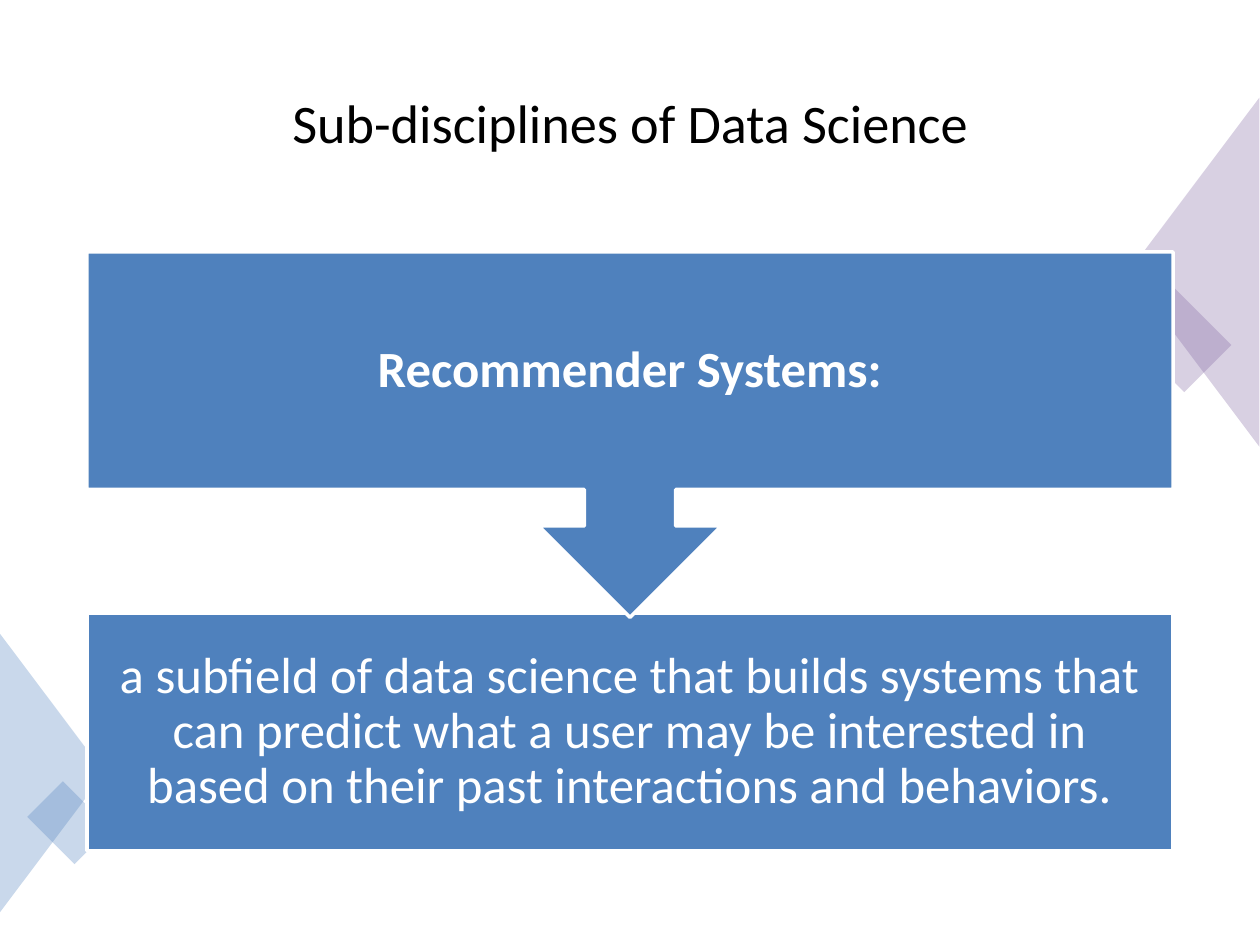
from lxml import etree
from pptx import Presentation
from pptx.dml.color import RGBColor
from pptx.enum import shapes, text
from pptx.oxml.ns import qn
from pptx.util import Inches, Pt

BLACK = RGBColor(0x00, 0x00, 0x00)
WHITE = RGBColor(0xFF, 0xFF, 0xFF)
BLUE = RGBColor(0x4F, 0x81, 0xBD)
PURPLE = RGBColor(0x80, 0x64, 0xA2)
FONT = "Calibri"
KIND = shapes.MSO_SHAPE

TITLE = "Sub-disciplines of Data Science"
TERM = "Recommender Systems:"
DEFINITION = (
    "a subfield of data science that builds systems that can predict what a user "
    "may be interested in based on their past interactions and behaviors."
)

# kind, (left, top, width, height), rotation, colour
DECORATIONS = [
    (KIND.RECTANGLE, (8.98, 2.41, 0.71, 0.53), 45, PURPLE),
    (KIND.ISOSCELES_TRIANGLE, (8.09, 1.64, 2.77, 1.04), 270, PURPLE),
    (KIND.ISOSCELES_TRIANGLE, (-0.69, 5.72, 2.21, 0.83), 90, BLUE),
    (KIND.RECTANGLE, (0.28, 6.33, 0.53, 0.4), 45, BLUE),
]
# kind, (left, top, width, height), wording, bold; the callout overlaps the box below
STEPS = [
    (KIND.RECTANGLE, (0.69, 4.87, 8.62, 1.88), DEFINITION, False),
    (KIND.DOWN_ARROW_CALLOUT, (0.69, 2, 8.62, 2.9), TERM, True),
]


def add_filled(slide, kind, box, color):
    shape = slide.shapes.add_shape(kind, *map(Inches, box))
    shape.shadow.inherit = False
    shape.fill.solid()
    shape.fill.fore_color.rgb = color
    return shape


def add_decoration(slide, kind, box, rotation, color):
    shape = add_filled(slide, kind, box, color)
    shape.rotation = rotation
    shape.line.fill.background()
    fill_color = shape.fill._xPr.find(qn("a:solidFill"))[0]
    etree.SubElement(fill_color, qn("a:alpha"), val="30000")


def write(frame, wording, size, color, bold=False):
    frame.word_wrap = True
    frame.vertical_anchor = text.MSO_ANCHOR.MIDDLE
    paragraph = frame.paragraphs[0]
    paragraph.text = wording
    paragraph.alignment = text.PP_ALIGN.CENTER
    font = paragraph.font
    font.name, font.size, font.bold = FONT, Pt(size), bold
    font.color.rgb = color
    return paragraph


def add_step(slide, kind, box, wording, bold):
    shape = add_filled(slide, kind, box, BLUE)
    shape.line.color.rgb = WHITE
    shape.line.width = Pt(2)
    frame = shape.text_frame
    frame.margin_left = frame.margin_right = Inches(0.23)
    frame.margin_top = frame.margin_bottom = Inches(0.23)
    write(frame, wording, 29, WHITE, bold).line_spacing = 0.9


def main():
    deck = Presentation()
    deck.slide_width, deck.slide_height = Inches(10), Inches(7.5)
    slide = deck.slides.add_slide(deck.slide_layouts[5])

    title = slide.shapes.title
    title.left, title.top = Inches(0.53), Inches(0.35)
    title.width, title.height = Inches(8.94), Inches(1.24)
    write(title.text_frame, TITLE, 31, BLACK)

    for decoration in DECORATIONS:
        add_decoration(slide, *decoration)
    for step in STEPS:
        add_step(slide, *step)
    deck.save("out.pptx")


if __name__ == "__main__":
    main()
